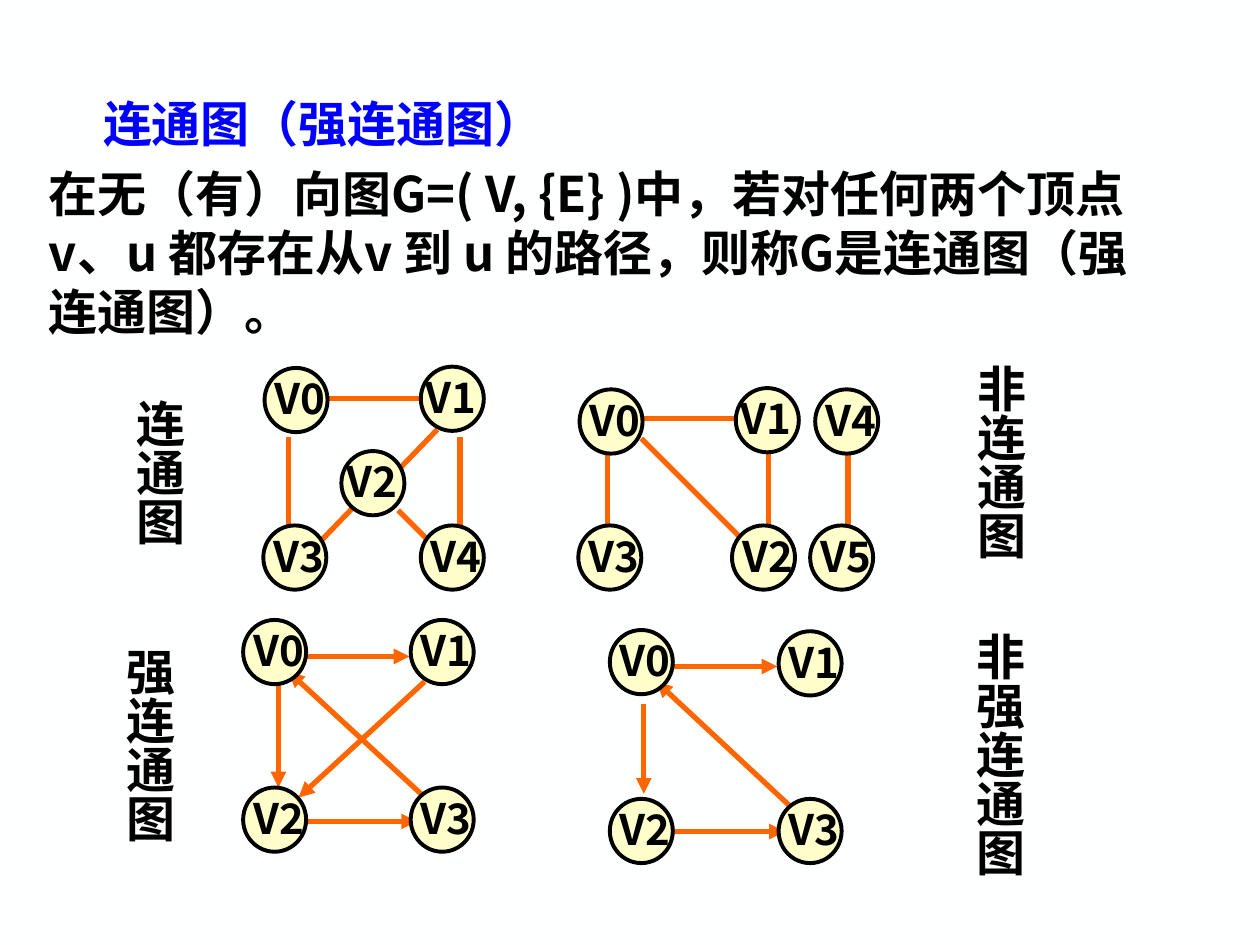
from pptx import Presentation
from pptx.dml.color import RGBColor
from pptx.enum.shapes import MSO_CONNECTOR, MSO_SHAPE
from pptx.enum.text import MSO_AUTO_SIZE
from pptx.oxml.ns import qn
from pptx.util import Emu, Pt
from lxml import etree

PX = 9144  # one px is a hundredth of an inch
STRAIGHT = MSO_CONNECTOR.STRAIGHT
OVAL = MSO_SHAPE.OVAL
NO_FIT = MSO_AUTO_SIZE.NONE

PAPER = RGBColor(0xFE, 0xFF, 0xFF)
BLACK = RGBColor(0x00, 0x00, 0x00)
BLUE = RGBColor(0x00, 0x00, 0xFF)
ORANGE = RGBColor(0xFF, 0x66, 0x00)
CREAM = RGBColor(0xFF, 0xFF, 0xCC)
FONT = "Noto Sans CJK SC"
TITLE_FONT = "DejaVu Sans"

# Captions: text, x, y, height
CAPTIONS = [
    ("非连通图", 756, 250, 217),
    ("连通图", 89, 258, 217),
    ("强连通图", 81, 475, 217),
    ("非强连通图", 755, 466, 250),
]

# Graphs: directed or not, edges (x1, y1, x2, y2), nodes (name, x, y, label shift)
GRAPHS = [
    (True,
     [(511, 559, 511, 630), (535, 660, 623, 660), (535, 529, 617, 529),
      (638, 650, 521, 541)],
     [("V0", 484, 500, -5), ("V1", 618, 501, -5),
      ("V2", 484, 634, -5), ("V3", 618, 634, -5)]),
    (False,
     [(229, 347, 229, 419), (259, 316, 341, 316), (365, 347, 365, 419),
      (282, 401, 253, 431), (347, 341, 318, 371), (316, 405, 341, 430)],
     [("V0", 210, 292, -5), ("V4", 334, 417, -5), ("V3", 209, 417, -5),
      ("V1", 334, 291, -9), ("V2", 271, 358, -9)]),
    (True,
     [(221, 541, 221, 625), (243, 652, 331, 652), (243, 521, 325, 521),
      (346, 641, 229, 533), (337, 541, 237, 633)],
     [("V0", 193, 492, -5), ("V1", 326, 492, -5),
      ("V2", 193, 625, -5), ("V3", 326, 625, -5)]),
    (False,
     [(509, 348, 591, 430), (482, 358, 482, 422), (510, 332, 588, 332),
      (610, 358, 610, 422)],
     [("V0", 460, 309, -5), ("V2", 581, 417, -5),
      ("V3", 459, 417, -5), ("V1", 584, 308, -9)]),
    (False,
     [(673, 354, 673, 418)],
     [("V5", 643, 417, -5), ("V4", 647, 309, -5)]),
]


def write(tf, text, size=28, font=FONT, color=BLACK):
    p = tf.paragraphs[0]
    p.line_spacing = Pt(round(size * 1.2, 1))
    r = p.add_run()
    r.text = text
    f = r.font
    f.size, f.bold, f.name = Pt(size), True, font
    f.color.rgb = color
    ea = etree.SubElement(r.font._element, qn("a:ea"))
    ea.set("typeface", font)


class Board:
    def __init__(self, s):
        self.s = s
        self.line_width = Pt(3)
        self.outline_width = Pt(2.25)
        self.node_size = (50, 51)
        self.char_height = 39

    def text(self, shapes, text, x, y, w, h, insets=(10, 5, 10, 5),
             vertical=False, **fmt):
        sp = shapes.add_textbox(*(Emu(v * PX) for v in (x, y, w, h)))
        tf = sp.text_frame
        (tf.margin_left, tf.margin_top,
         tf.margin_right, tf.margin_bottom) = (Emu(v * PX) for v in insets)
        tf.word_wrap = True
        tf.auto_size = NO_FIT
        if vertical:
            sp.element.txBody.bodyPr.set("vert", "eaVert")
        write(tf, text, **fmt)

    def caption(self, text, x, y, h):
        # The column of characters sits just below the middle of its box
        column = self.char_height * len(text)
        top = (h - column) // 2 + 9
        bottom = h - column - top - 4
        self.text(self.s.shapes, text, x, y, 66, h,
                  insets=(5, top, 5, bottom), vertical=True)

    def edge(self, shapes, ends, arrow):
        c = shapes.add_connector(STRAIGHT, *(Emu(v * PX) for v in ends))
        c.line.color.rgb = ORANGE
        c.line.width = self.line_width
        if arrow:
            tail = etree.SubElement(c.element.spPr.find(qn("a:ln")),
                                    qn("a:tailEnd"))
            tail.set("type", "triangle")
        etree.SubElement(c.element.spPr, qn("a:effectLst"))

    def node(self, shapes, name, x, y, shift):
        w, h = self.node_size
        sp = shapes.add_shape(OVAL, *(Emu(v * PX) for v in (x, y, w, h)))
        sp.shadow.inherit = False
        sp.fill.solid()
        sp.fill.fore_color.rgb = CREAM
        sp.line.color.rgb = BLACK
        sp.line.width = self.outline_width
        self.text(shapes, name, x + shift, y - 1, 71, 50,
                  insets=(13, 5, 10, 5), size=24)

    def graph(self, directed, edges, nodes):
        shapes = self.s.shapes.add_group_shape().shapes
        for ends in edges:
            self.edge(shapes, ends, directed)
        for node in nodes:
            self.node(shapes, *node)


def main():
    prs = Presentation()
    prs.slide_width, prs.slide_height = Emu(1000 * PX), Emu(750 * PX)
    s = prs.slides.add_slide(prs.slide_layouts[6])
    s.background.fill.solid()
    s.background.fill.fore_color.rgb = PAPER
    board = Board(s)

    # Captions beside the graphs
    for caption in CAPTIONS:
        board.caption(*caption)

    # Example graphs
    for graph in GRAPHS:
        board.graph(*graph)

    # Title and definition
    board.text(s.shapes, "连通图（强连通图）", 72, 69, 400, 57,
               font=TITLE_FONT, color=BLUE)
    board.text(s.shapes,
               "在无（有）向图G=( V, {E} )中，若对任何两个顶点 v、u 都存在从v 到 u "
               "的路径，则称G是连通图（强连通图）。",
               29, 125, 908, 150)

    prs.save("out.pptx")


if __name__ == "__main__":
    main()
